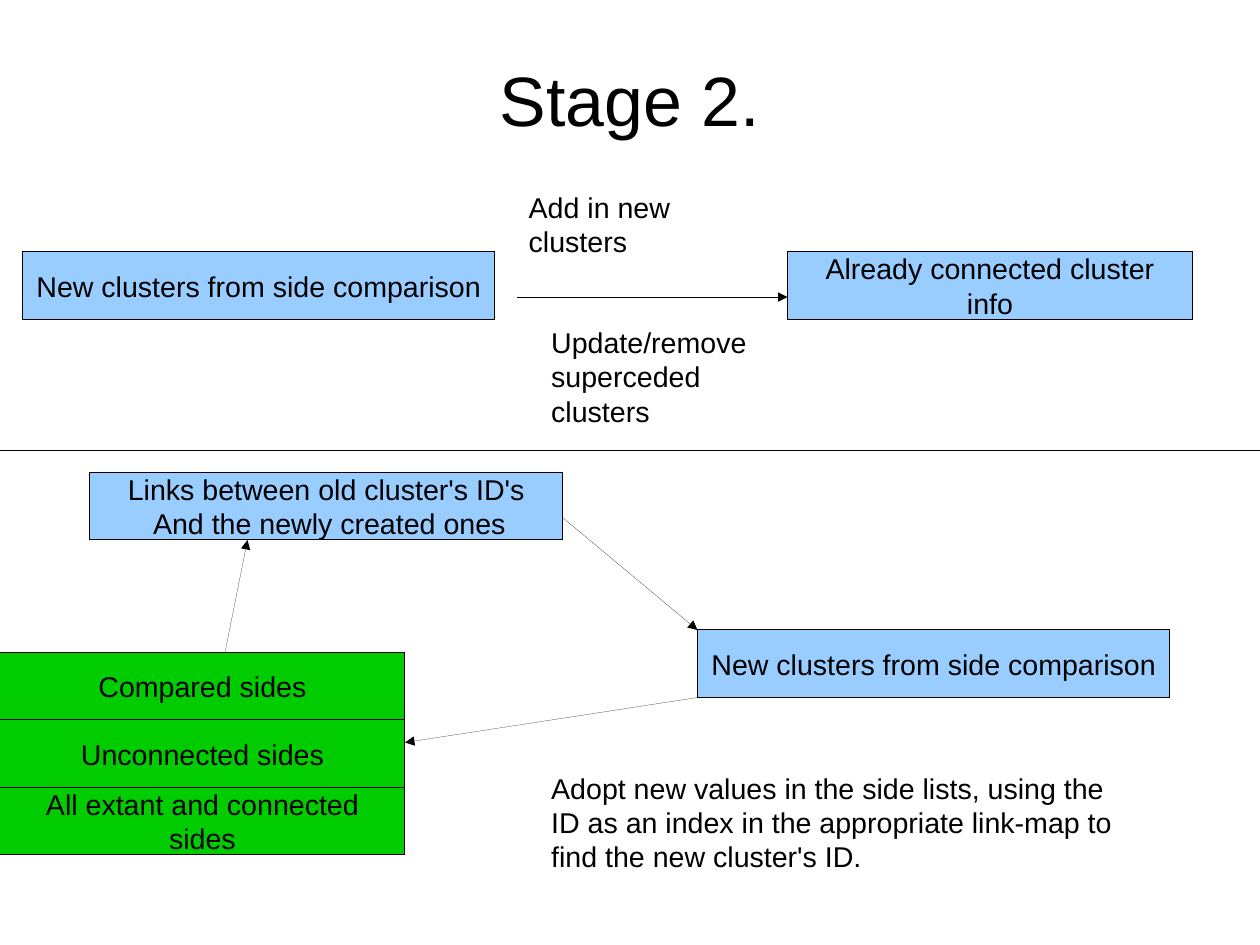
from pptx import Presentation
from pptx.dml.color import RGBColor
from pptx.enum.shapes import MSO_CONNECTOR, MSO_SHAPE
from pptx.enum.text import MSO_ANCHOR, PP_ALIGN
from pptx.oxml.ns import qn
from pptx.util import Inches, Pt
from lxml import etree

RECT, STRAIGHT = MSO_SHAPE.RECTANGLE, MSO_CONNECTOR.STRAIGHT
TOP, MIDDLE = MSO_ANCHOR.TOP, MSO_ANCHOR.MIDDLE
LEFT, CENTER = PP_ALIGN.LEFT, PP_ALIGN.CENTER

# Content, laid out on a centimetre grid
CM_PER_INCH = 2.54
WIDTH, HEIGHT = 28, 21
FONT = "Arial"
COLORS = {"ink": "000000", "cluster": "99CCFF", "side": "00CC00"}
BOX_H = 1.5

TITLE = ("Stage 2.", (1.4, 0.45, 25.2, 3.5))
CLUSTERS = [  # text, left, top, width
    ("New clusters from side comparison", 0.5, 5.6, 10.5),
    ("Already connected cluster info", 17.5, 5.6, 9),
    ("Links between old cluster's ID's\n And the newly created ones", 2, 10.5, 10.5),
    ("New clusters from side comparison", 15.5, 14, 10.5),
]
SIDES = ["Compared sides", "Unconnected sides", "All extant and connected sides"]
SIDES_TOP, SIDES_W = 14.5, 9
NOTES = [
    ("Add in new clusters", (11.5, 4.1, 5, 1.67)),
    ("Update/remove superceded clusters", (12, 7.1, 5, 2.39)),
    ("Adopt new values in the side lists, using the ID as an index in the "
     "appropriate link-map to find the new cluster's ID.", (12, 17, 13.5, 2.39)),
]
ARROWS = [  # from, to
    ((11.5, 6.6), (17.5, 6.6)),
    ((5, 14.5), (5.5, 12)),
    ((12.5, 11.5), (15.5, 14)),
    ((15.5, 15.5), (9, 16.5)),
]
DIVIDER = ((0, 10), (WIDTH, 10))


def grid(*lengths):
    return [round(Inches(v) / CM_PER_INCH) for v in lengths]


def color(name):
    return RGBColor.from_string(COLORS[name])


def write(s, text, size=18, align=LEFT, anchor=TOP, margins=(0.1, 0.05)):
    tf = s.text_frame
    tf.word_wrap = True
    tf.vertical_anchor = anchor
    tf.margin_left = tf.margin_right = Inches(margins[0])
    tf.margin_top = tf.margin_bottom = Inches(margins[1])
    for i, line in enumerate(text.split("\n")):
        p = tf.paragraphs[0] if i == 0 else tf.add_paragraph()
        p.alignment = align
        r = p.add_run()
        r.text = line
        r.font.name, r.font.size = FONT, Pt(size)
        r.font.color.rgb = color("ink")


def add_text(text, at, **fmt):
    write(slide.shapes.add_textbox(*grid(*at)), text, **fmt)


def hairline(s):
    s.line.color.rgb = color("ink")
    ln = s._element.spPr.find(qn("a:ln"))
    ln.set("w", "0")  # an explicit zero overrides the theme width
    return ln


def add_box(text, left, top, width, fill):
    s = slide.shapes.add_shape(RECT, *grid(left, top, width, BOX_H))
    s.shadow.inherit = False
    s.fill.solid()
    s.fill.fore_color.rgb = color(fill)
    hairline(s)
    write(s, text, align=CENTER, anchor=MIDDLE)


def add_line(start, end, arrow=False):
    c = slide.shapes.add_connector(STRAIGHT, *grid(*start, *end))
    ln = hairline(c)
    if arrow:
        etree.SubElement(ln, qn("a:tailEnd"), type="triangle")
    etree.SubElement(c._element.spPr, qn("a:effectLst"))


prs = Presentation()
prs.slide_width, prs.slide_height = grid(WIDTH, HEIGHT)
slide = prs.slides.add_slide(prs.slide_layouts[6])

# Title
add_text(*TITLE, size=44, align=CENTER, anchor=MIDDLE, margins=(0, 0))

# Cluster boxes and the stack of side lists
for text, left, top, width in CLUSTERS:
    add_box(text, left, top, width, "cluster")
for i, text in enumerate(SIDES):
    add_box(text, 0, SIDES_TOP + i * BOX_H, SIDES_W, "side")

# Divider and arrows
add_line(*DIVIDER)
for start, end in ARROWS:
    add_line(start, end, arrow=True)

# Notes
for text, at in NOTES:
    add_text(text, at)

prs.save("out.pptx")
